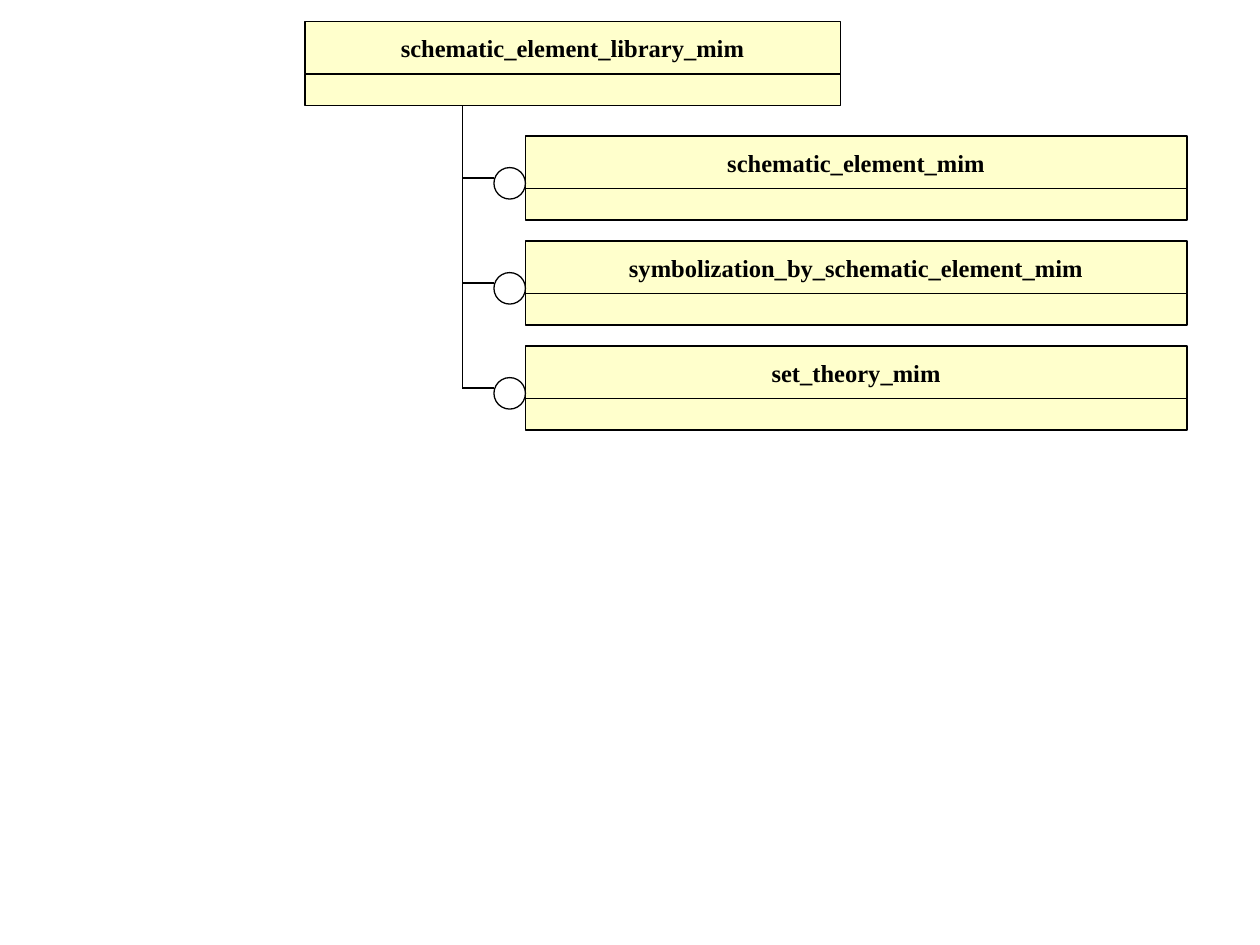
from lxml.etree import SubElement
from pptx import Presentation
from pptx.dml.color import RGBColor
from pptx.enum.shapes import MSO_CONNECTOR, MSO_SHAPE
from pptx.enum.text import MSO_ANCHOR, PP_ALIGN
from pptx.oxml.ns import qn
from pptx.util import Inches, Pt

BLACK, WHITE, CREAM = "000000", "FFFFFF", "FFFFCC"
UNIT = Inches(1) / 12
NAME_HEIGHT, BODY_HEIGHT = round(5 * UNIT), Inches(0.25)
CIRCLE = Inches(0.25)
TRUNK_X = Inches(3.67)
ROW_PITCH = 10 * UNIT
USED_SCHEMAS = [
    "schematic_element_mim",
    "symbolization_by_schematic_element_mim",
    "set_theory_mim",
]


def color(hex_string):
    return RGBColor.from_string(hex_string)


def add_outlined(shapes, kind, left, top, width, height, fill):
    outlined = shapes.add_shape(kind, left, top, width, height)
    outlined.shadow.inherit = False
    outlined.fill.solid()
    outlined.fill.fore_color.rgb = color(fill)
    outlined.line.color.rgb = color(BLACK)
    outlined.line.width = Pt(0.75)
    return outlined


def add_line(slide, x1, y1, x2, y2):
    line = slide.shapes.add_connector(MSO_CONNECTOR.STRAIGHT, x1, y1, x2, y2)
    line.line.color.rgb = color(BLACK)
    line.line.width = Pt(0.75)
    SubElement(line._element.spPr, qn("a:effectLst"))
    return line


def add_schema(slide, name, left, top, width):
    parts = slide.shapes.add_group_shape().shapes
    heading = add_outlined(parts, MSO_SHAPE.RECTANGLE, left, top, width, NAME_HEIGHT, CREAM)
    add_outlined(parts, MSO_SHAPE.RECTANGLE, left, top + NAME_HEIGHT, width, BODY_HEIGHT, CREAM)
    frame = heading.text_frame
    frame.word_wrap = False
    frame.vertical_anchor = MSO_ANCHOR.MIDDLE
    frame.text = name
    paragraph = frame.paragraphs[0]
    paragraph.alignment = PP_ALIGN.CENTER
    paragraph.font.name = "Times New Roman"
    paragraph.font.size = Pt(14)
    paragraph.font.bold = True
    paragraph.font.color.rgb = color(BLACK)


def add_used_schema(slide, name, left, top, width):
    add_schema(slide, name, left, top, width)
    circle_left = left - CIRCLE
    add_outlined(slide.shapes, MSO_SHAPE.OVAL, circle_left, top + Inches(0.25), CIRCLE, CIRCLE, WHITE)
    branch_y = top + round(4 * UNIT)
    add_line(slide, TRUNK_X, branch_y, circle_left, branch_y)
    return branch_y


def main():
    presentation = Presentation()
    presentation.slide_width, presentation.slide_height = Inches(10), Inches(7.5)
    slide = presentation.slides.add_slide(presentation.slide_layouts[6])

    library_top = Inches(0.17)
    add_schema(slide, "schematic_element_library_mim", Inches(2.42), library_top, Inches(4.25))
    for row, name in enumerate(USED_SCHEMAS):
        top = round(Inches(1.08) + row * ROW_PITCH)
        trunk_end = add_used_schema(slide, name, Inches(4.17), top, Inches(5.25))
    add_line(slide, TRUNK_X, trunk_end, TRUNK_X, library_top + NAME_HEIGHT + BODY_HEIGHT)

    presentation.save("out.pptx")


if __name__ == "__main__":
    main()
